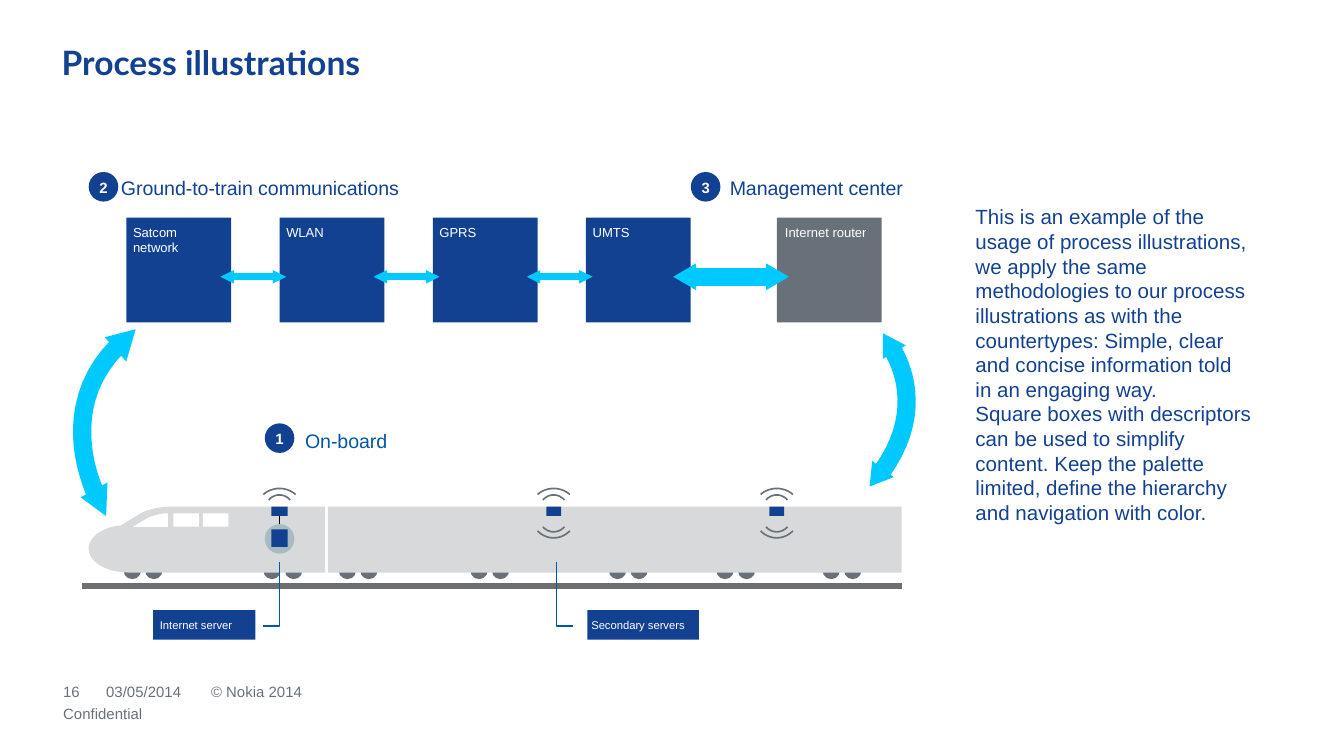
from lxml import etree
from pptx import Presentation
from pptx.dml.color import RGBColor
from pptx.enum.shapes import MSO_CONNECTOR, MSO_SHAPE
from pptx.oxml.ns import qn
from pptx.util import Inches, Pt

RECT = MSO_SHAPE.RECTANGLE
OVAL = MSO_SHAPE.OVAL
STRAIGHT = MSO_CONNECTOR.STRAIGHT

COLORS = {
    "navy": "124191", "blue": "0057A4", "cyan": "00C9FF", "gray": "68717A",
    "rail": "6D6E71", "train": "D8D9DA", "halo": "A8BBC0",
    "white": "FFFFFF", "black": "000000",
}
STEPS = 16  # straight pieces per curve


def rgb(name):
    return RGBColor.from_string(COLORS[name])


def add_text(slide, x, y, w, h, lines, size, color, bold=False,
             font="Arial", wrap=False, inset=(0, 0)):
    frame = slide.shapes.add_textbox(Inches(x), Inches(y), Inches(w), Inches(h)).text_frame
    frame.word_wrap = wrap
    frame.margin_left = frame.margin_right = Inches(inset[0])
    frame.margin_top = frame.margin_bottom = Inches(inset[1])
    for i, line in enumerate(lines):
        para = frame.add_paragraph() if i else frame.paragraphs[0]
        run = para.add_run()
        run.text = line
        run.font.name = font
        run.font.size = Pt(size)
        run.font.bold = bold
        run.font.color.rgb = rgb(color)


def paint(shape, fill=None, line=None, width=0.88):
    shape.shadow.inherit = False
    if fill:
        shape.fill.solid()
        shape.fill.fore_color.rgb = rgb(fill)
    else:
        shape.fill.background()
    if line:
        shape.line.color.rgb = rgb(line)
        shape.line.width = Pt(width)
    else:
        shape.line.fill.background()


def add_box(slide, kind, x, y, w, h, fill):
    shape = slide.shapes.add_shape(kind, Inches(x), Inches(y), Inches(w), Inches(h))
    paint(shape, fill)


def add_line(slide, x1, y1, x2, y2, color, width):
    line = slide.shapes.add_connector(STRAIGHT, Inches(x1), Inches(y1), Inches(x2), Inches(y2))
    line.line.color.rgb = rgb(color)
    line.line.width = Pt(width)
    etree.SubElement(line._element.spPr, qn("a:effectLst"))


def bend(p0, p1, p2, p3):
    """Points along a cubic curve, without its start."""
    points = []
    for i in range(1, STEPS + 1):
        t = i / STEPS
        u = 1 - t
        points.append(tuple(
            u**3 * a + 3 * u * u * t * b + 3 * u * t * t * c + t**3 * d
            for a, b, c, d in zip(p0, p1, p2, p3)))
    return points


def add_path(slide, points, fill=None, line=None, width=0.88):
    spots = [(Inches(x), Inches(y)) for x, y in points]
    build = slide.shapes.build_freeform(*spots[0])
    build.add_line_segments(spots[1:], close=bool(fill))
    paint(build.convert_to_shape(), fill, line, width)


def add_curve(slide, points, line, width=0.88):
    add_path(slide, [points[0]] + bend(*points), line=line, width=width)


def add_arrow(slide, x1, x2, y, width, head, half):
    """Level arrow with a head at both ends."""
    add_line(slide, x1 + head - 0.02, y, x2 - head + 0.02, y, "cyan", width)
    for tip, base in ((x1, x1 + head), (x2, x2 - head)):
        add_path(slide, [(base, y + half), (tip, y), (base, y - half)], "cyan")


def add_waves(slide, mid, below):
    """Radio waves over an antenna and, if asked, below it."""
    arcs = [(0.08, 3.72, 3.67), (0.12, 3.68, 3.62)]
    if below:
        arcs += [(0.08, 3.92, 3.97), (0.12, 3.95, 4.02)]
    for half, end, top in arcs:
        add_curve(slide, [(mid - half, end), (mid - half * 0.45, top),
                          (mid + half * 0.45, top), (mid + half, end)], "gray")


def add_step(slide, num, x, y, label, left, top, width, color):
    add_box(slide, OVAL, x, y, 0.22, 0.22, "navy")
    add_text(slide, x + 0.08, y + 0.05, 0.06, 0.13, [num], 8, "white", True)
    add_text(slide, left, top, width, 0.18, [label], 10.5, color)


def add_train(slide):
    # Wheels in pairs
    for x in (0.92, 1.96, 2.52, 3.5, 4.53, 5.33, 6.12):
        for shift in (0, 0.16):
            add_box(slide, OVAL, x + shift, 4.18, 0.13, 0.13, "gray")
    # Engine with nose, then wagon and rail
    nose = [(2.42, 3.77), (2.42, 4.26), (0.96, 4.26)]
    nose += bend((0.96, 4.26), (0.79, 4.26), (0.66, 4.18), (0.66, 4.08))
    nose += bend((0.66, 4.08), (0.66, 4), (0.76, 3.92), (0.9, 3.91))
    nose += [(1.03, 3.83)]
    nose += bend((1.03, 3.83), (1.03, 3.83), (1.11, 3.77), (1.28, 3.77))
    add_path(slide, nose, "train")
    add_box(slide, RECT, 2.44, 3.77, 4.27, 0.49, "train")
    add_line(slide, 0.61, 4.36, 6.71, 4.36, "rail", 3.63)
    # Windows
    pane = [(1.25, 3.92), (1.25, 3.82), (1.23, 3.82)]
    pane += bend((1.23, 3.82), (1.14, 3.83), (1.09, 3.86), (1.09, 3.86))
    add_path(slide, pane + [(0.99, 3.92)], "white")
    for x in (1.29, 1.51):
        add_box(slide, RECT, x, 3.82, 0.19, 0.1, "white")
    # Server and antennas
    add_box(slide, OVAL, 1.97, 3.9, 0.22, 0.22, "halo")
    add_line(slide, 2.08, 3.9, 2.08, 3.84, "black", 0.88)
    add_box(slide, RECT, 2.02, 3.94, 0.12, 0.13, "navy")
    for mid, below, width in ((2.08, False, 0.12), (4.12, True, 0.11), (5.78, True, 0.11)):
        add_waves(slide, mid, below)
        add_box(slide, RECT, mid - width / 2, 3.77, width, 0.07, "navy")


def add_servers(slide):
    for end, x, left, width, inset, label, wide in (
            (1.96, 2.08, 1.14, 0.76, 0.05, "Internet server", 0.54),
            (4.26, 4.14, 4.37, 0.83, 0.03, "Secondary servers", 0.7)):
        add_path(slide, [(end, 4.66), (x, 4.66), (x, 4.18)], line="blue")
        add_box(slide, RECT, left, 4.54, width, 0.22, "navy")
        add_text(slide, left + inset, 4.6, wide, 0.1, [label], 6, "white")


def add_network(slide):
    nodes = [("Satcom", 0.33), ("WLAN", 0.28), ("GPRS", 0.28), ("UMTS", 0.28)]
    lefts = [0.94 + 1.14 * i for i in range(len(nodes))]
    for x, (label, width) in zip(lefts, nodes):
        add_box(slide, RECT, x, 1.62, 0.78, 0.78, "navy")
        add_text(slide, x + 0.05, 1.67, width, 0.12, [label], 7, "white")
    add_text(slide, 0.99, 1.78, 0.34, 0.12, ["network"], 7, "white")
    add_box(slide, RECT, 5.78, 1.62, 0.78, 0.78, "gray")
    add_text(slide, 5.84, 1.67, 0.62, 0.12, ["Internet router"], 7, "white")
    # Links between the boxes
    for x in lefts[:-1]:
        add_arrow(slide, x + 0.7, x + 1.19, 2.06, 3.63, 0.1, 0.05)
    add_arrow(slide, 5.01, 5.87, 2.06, 9.75, 0.17, 0.1)


def add_bows(slide):
    """Curved arrows between the train and the network."""
    add_curve(slide, [(0.71, 3.67), (0.61, 3.44), (0.49, 2.96), (0.88, 2.57)], "cyan", 9.75)
    add_curve(slide, [(6.64, 2.6), (6.74, 2.77), (6.85, 3.11), (6.56, 3.51)], "cyan", 9.75)
    for head in ([(0.8, 3.59), (0.79, 3.84), (0.6, 3.7)],
                 [(0.94, 2.69), (1.01, 2.45), (0.78, 2.51)],
                 [(6.57, 2.67), (6.57, 2.48), (6.74, 2.57)],
                 [(6.49, 3.43), (6.47, 3.62), (6.65, 3.55)]):
        add_path(slide, head, "cyan")


def main():
    deck = Presentation()
    # Wide 16:9 page
    deck.slide_width, deck.slide_height = Inches(10), Inches(10 * 9 / 16)
    slide = deck.slides.add_slide(deck.slide_layouts[6])

    # Title and footer
    add_text(slide, 0.46, 0.31, 9, 0.34, ["Process illustrations"], 18, "navy",
             True, "Lato", True)
    for x, y, w, note in ((0.47, 5.08, 0.16, "16"), (0.79, 5.08, 0.75, "03/05/2014"),
                          (1.57, 5.08, 6.65, "© Nokia 2014"),
                          (0.47, 5.24, 6.65, "Confidential")):
        add_text(slide, x, y, w, 0.14, [note], 8, "gray", wrap=True)

    # Diagram
    add_train(slide)
    add_servers(slide)
    add_bows(slide)
    add_network(slide)
    add_step(slide, "1", 1.97, 3.15, "On-board", 2.27, 3.19, 0.62, "blue")
    add_step(slide, "2", 0.66, 1.28, "Ground-to-train communications", 0.9, 1.31, 2.11, "navy")
    add_step(slide, "3", 5.14, 1.28, "Management center", 5.43, 1.31, 1.31, "navy")

    # Side text
    add_text(slide, 7.16, 1.47, 2.26, 2.51, [
        "This is an example of the usage of process illustrations, we apply the same "
        "methodologies to our process illustrations as with the countertypes: Simple, "
        "clear and concise information told in an engaging way.",
        "Square boxes with descriptors can be used to simplify content. Keep the palette "
        "limited, define the hierarchy and navigation with color.",
    ], 11, "navy", wrap=True, inset=(0.1, 0.05))

    deck.save("out.pptx")


if __name__ == "__main__":
    main()
